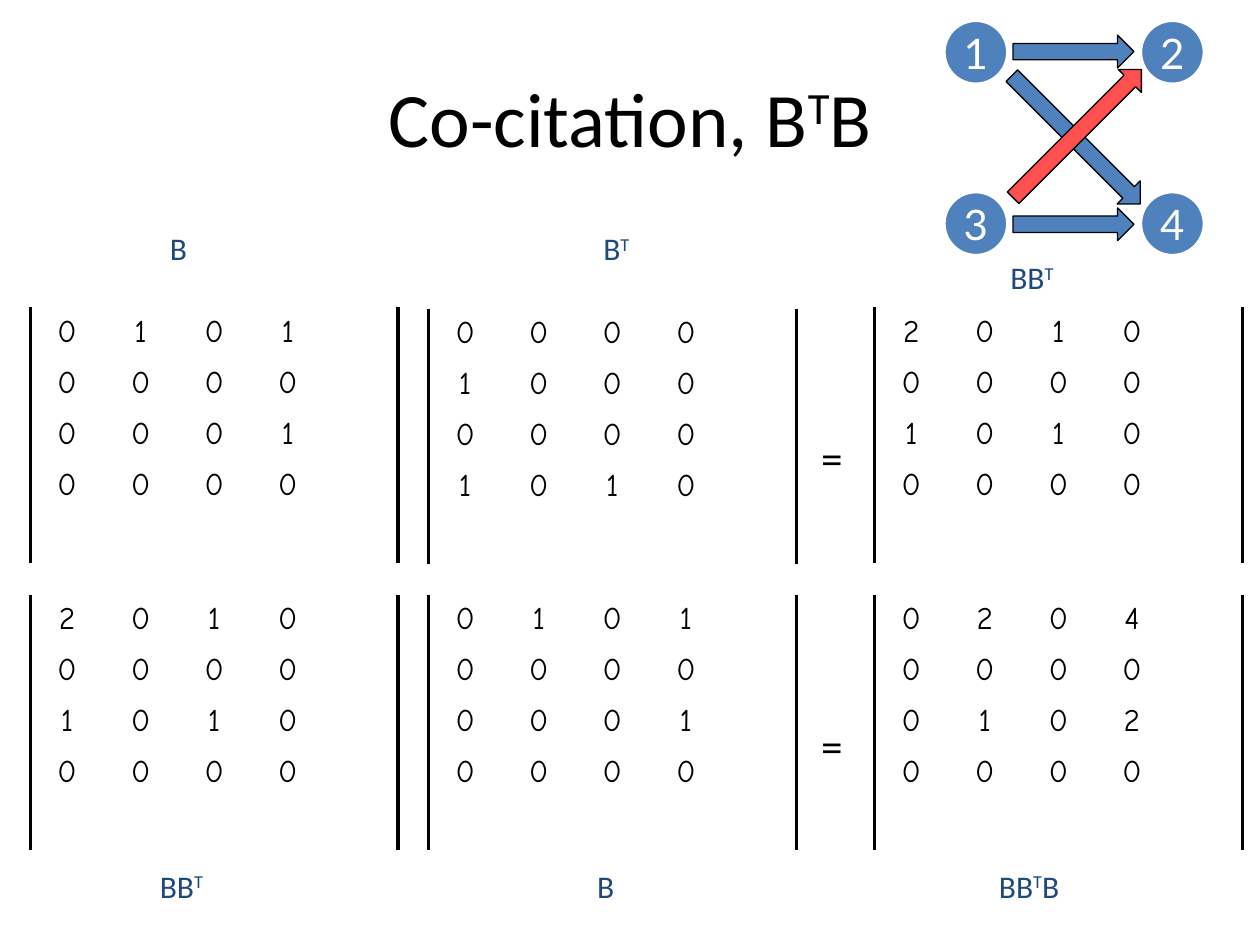
from dataclasses import dataclass

import pptx
import pptx.dml.color
import pptx.enum.shapes
import pptx.enum.text
import pptx.oxml
import pptx.oxml.ns
import pptx.util

Inches = pptx.util.Inches
Pt = pptx.util.Pt
Shape = pptx.enum.shapes.MSO_SHAPE
Align = pptx.enum.text.PP_ALIGN
Anchor = pptx.enum.text.MSO_ANCHOR

BLACK, WHITE, BLUE, RED, NAVY = "000000", "FFFFFF", "4F81BD", "FF5050", "1F497D"
PLAIN_TABLE = "{2D5ABB26-0587-4C30-8999-92F81FD0307C}"
MATRIX_SIZE = 5
MATRIX_WIDTH, MATRIX_HEIGHT = 2.92, 2.03
NODE_SIZE = 0.49

TITLE_FONT = {"name": "Calibri", "size": Pt(44)}
LABEL_FONT = {"name": "Calibri", "size": Pt(18)}
DIGIT_FONT = {"name": "Comic Neue", "size": Pt(18)}
EQUALS_FONT = {"name": "Lato", "size": Pt(40)}
NODE_FONT = {"name": "Lato", "size": Pt(24)}


@dataclass
class Matrix:
    left: float
    top: float
    rows: tuple[str, ...]


@dataclass
class Caption:
    left: float
    top: float
    width: float
    height: float
    runs: tuple[tuple[str, int], ...]
    font: dict
    color: str = NAVY
    wrap: bool = False
    align: Align = Align.LEFT
    anchor: Anchor = Anchor.TOP


@dataclass
class Node:
    left: float
    top: float
    number: str


@dataclass
class Arrow:
    left: float
    top: float
    length: float
    rotation: int = 0
    color: str = BLUE


def rgb(color: str) -> pptx.dml.color.RGBColor:
    return pptx.dml.color.RGBColor.from_string(color)


def apply(target, values: dict) -> None:
    for key, value in values.items():
        setattr(target, key, value)


def add_run(paragraph, text: str, font: dict, color: str, baseline: int = 0) -> None:
    run = paragraph.add_run()
    run.text = text
    apply(run.font, font)
    run.font.color.rgb = rgb(color)
    if baseline:
        run.font._element.set("baseline", str(baseline * 1000))


def draw_caption(slide, caption: Caption) -> None:
    box = slide.shapes.add_textbox(Inches(caption.left), Inches(caption.top),
                                   Inches(caption.width), Inches(caption.height))
    apply(box.text_frame, {"word_wrap": caption.wrap, "vertical_anchor": caption.anchor})
    paragraph = box.text_frame.paragraphs[0]
    paragraph.alignment = caption.align
    for text, baseline in caption.runs:
        add_run(paragraph, text, caption.font, caption.color, baseline)


def add_border(cell, side: str) -> None:
    border = pptx.oxml.parse_xml(
        f'<a:{side} {pptx.oxml.ns.nsdecls("a")} w="{Pt(2.25)}"><a:solidFill>'
        f'<a:srgbClr val="{BLACK}"/></a:solidFill></a:{side}>')
    cell._tc.get_or_add_tcPr().insert(0, border)


def draw_matrix(slide, matrix: Matrix) -> None:
    frame = slide.shapes.add_table(
        MATRIX_SIZE, MATRIX_SIZE, Inches(matrix.left), Inches(matrix.top),
        Inches(MATRIX_WIDTH), Inches(MATRIX_HEIGHT))
    table = frame.table
    apply(table, {"first_row": False, "horz_banding": False})
    table._tbl.tblPr.find(pptx.oxml.ns.qn("a:tableStyleId")).text = PLAIN_TABLE
    for cell in table.iter_cells():
        cell.fill.background()
    for row in range(MATRIX_SIZE):
        add_border(table.cell(row, 0), "lnL")
        add_border(table.cell(row, MATRIX_SIZE - 1), "lnR")
    for row, digits in enumerate(matrix.rows):
        for column, digit in enumerate(digits):
            paragraph = table.cell(row, column).text_frame.paragraphs[0]
            paragraph.alignment = Align.CENTER
            add_run(paragraph, digit, DIGIT_FONT, BLACK)


def draw_shape(slide, kind: Shape, left: float, top: float, width: float,
               height: float, fill: str, line: str):
    shape = slide.shapes.add_shape(kind, Inches(left), Inches(top),
                                   Inches(width), Inches(height))
    shape.shadow.inherit = False
    shape.fill.solid()
    shape.fill.fore_color.rgb = rgb(fill)
    shape.line.color.rgb = rgb(line)
    shape.line.width = Pt(0.75)
    return shape


def draw_node(slide, node: Node) -> None:
    circle = draw_shape(slide, Shape.OVAL, node.left, node.top,
                        NODE_SIZE, NODE_SIZE, BLUE, WHITE)
    apply(circle.text_frame, {"margin_left": 0, "margin_right": 0, "margin_top": 0,
                              "margin_bottom": 0, "word_wrap": False,
                              "vertical_anchor": Anchor.MIDDLE})
    paragraph = circle.text_frame.paragraphs[0]
    paragraph.alignment = Align.CENTER
    add_run(paragraph, node.number, NODE_FONT, WHITE)


def draw_arrow(slide, arrow: Arrow) -> None:
    shape = draw_shape(slide, Shape.RIGHT_ARROW, arrow.left, arrow.top,
                       arrow.length, 0.26, arrow.color, BLACK)
    shape.rotation = arrow.rotation


B = ("0101", "0000", "0001", "0000")
B_TRANSPOSED = ("0000", "1000", "0000", "1010")
BBT = ("2010", "0000", "1010", "0000")
BBTB = ("0204", "0000", "0102", "0000")
T = ("T", 30)

MATRICES = (
    Matrix(0.24, 2.44, B),
    Matrix(3.4, 2.45, B_TRANSPOSED),
    Matrix(6.94, 2.44, BBT),
    Matrix(0.24, 4.72, BBT),
    Matrix(3.4, 4.72, B),
    Matrix(6.94, 4.72, BBTB),
)
CAPTIONS = (
    Caption(0.5, 0.3, 9, 1.25, (("Co-citation, B", 0), T, ("B", 0)), TITLE_FONT,
            BLACK, True, Align.CENTER, Anchor.MIDDLE),
    Caption(6.41, 3.02, 0.49, 0.55, (("=", -25),), EQUALS_FONT, BLACK, True),
    Caption(6.41, 5.31, 0.49, 0.55, (("=", -25),), EQUALS_FONT, BLACK, True),
    Caption(1.25, 1.77, 0.36, 0.4, (("B", 0),), LABEL_FONT),
    Caption(4.69, 1.77, 0.47, 0.4, (("B", 0), T), LABEL_FONT),
    Caption(7.92, 2, 0.63, 0.4, (("BB", 0), T), LABEL_FONT),
    Caption(1.17, 6.83, 0.63, 0.4, (("BB", 0), T), LABEL_FONT),
    Caption(4.64, 6.83, 0.36, 0.4, (("B", 0),), LABEL_FONT),
    Caption(7.83, 6.83, 0.79, 0.4, (("BB", 0), T, ("B", 0)), LABEL_FONT),
)
NODES = (Node(7.5, 0.17, "1"), Node(9.06, 0.17, "2"),
         Node(7.5, 1.53, "3"), Node(9.06, 1.53, "4"))
ARROWS = (Arrow(8.04, 0.28, 0.96), Arrow(8.04, 1.65, 0.96),
          Arrow(7.82, 0.98, 1.44, 45), Arrow(7.83, 0.93, 1.44, 315, RED))


def main() -> None:
    deck = pptx.Presentation()
    apply(deck, {"slide_width": Inches(10), "slide_height": Inches(7.5)})
    slide = deck.slides.add_slide(deck.slide_layouts[6])
    for draw, items in ((draw_caption, CAPTIONS), (draw_matrix, MATRICES),
                        (draw_node, NODES), (draw_arrow, ARROWS)):
        for item in items:
            draw(slide, item)
    deck.save("out.pptx")


if __name__ == "__main__":
    main()
